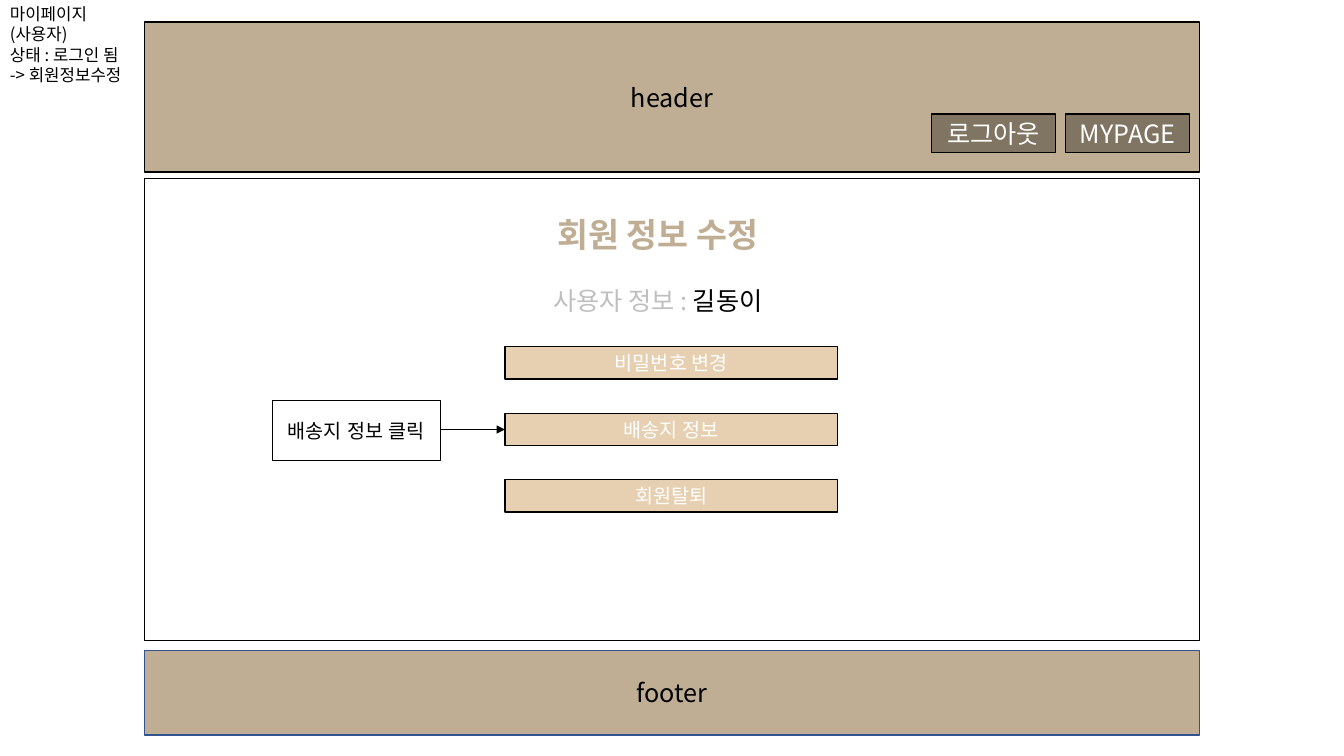
import pptx
import pptx.dml.color
import pptx.enum.shapes
import pptx.enum.text
import pptx.oxml.ns
import pptx.util
from lxml import etree

Pt = pptx.util.Pt
qn = pptx.oxml.ns.qn
ALIGN = pptx.enum.text.PP_ALIGN
ANCHOR = pptx.enum.text.MSO_ANCHOR

BLACK, WHITE = "000000", "FFFFFF"
TAN, LIGHT_TAN, BROWN = "BFAE93", "E6D0B1", "807462"
GREY, BLUE = "BFBFBF", "31538F"


def colour(hex_code):
    return pptx.dml.color.RGBColor.from_string(hex_code)


class Wireframe:
    def __init__(self, slide, font="Noto Sans CJK KR"):
        self.slide = slide
        self.font = font

    def fill_text(self, shape, paragraphs, size, align, anchor, bold=False, font=None):
        """Put text in a shape; each paragraph is a list of (text, colour) runs."""
        frame = shape.text_frame
        frame.word_wrap = True
        frame.auto_size = pptx.enum.text.MSO_AUTO_SIZE.NONE
        frame.vertical_anchor = anchor
        for index, runs in enumerate(paragraphs):
            paragraph = frame.add_paragraph() if index else frame.paragraphs[0]
            paragraph.alignment = align
            for text, hex_code in runs:
                run = paragraph.add_run()
                run.text = text
                run.font.size = Pt(size)
                run.font.bold = bold
                run.font.color.rgb = colour(hex_code)
                run.font.name = font or self.font
        for latin in list(shape.element.iter(qn("a:latin"))):
            east_asian = etree.Element(qn("a:ea"), typeface=font or self.font)
            latin.addnext(east_asian)

    def box(self, left, top, width, height, fill, text=None, size=18,
            text_colour=BLACK, line=BLACK, line_width=1, font=None, group=None):
        parent = self.slide if group is None else group
        shape = parent.shapes.add_shape(
            pptx.enum.shapes.MSO_SHAPE.RECTANGLE,
            Pt(left), Pt(top), Pt(width), Pt(height))
        shape.shadow.inherit = False
        shape.fill.solid()
        shape.fill.fore_color.rgb = colour(fill)
        shape.line.color.rgb = colour(line)
        shape.line.width = Pt(line_width)
        if text:
            self.fill_text(shape, [[(text, text_colour)]], size,
                           ALIGN.CENTER, ANCHOR.MIDDLE, font=font)

    def label(self, left, top, width, height, paragraphs, size):
        shape = self.slide.shapes.add_textbox(Pt(left), Pt(top), Pt(width), Pt(height))
        self.fill_text(shape, paragraphs, size, ALIGN.LEFT, ANCHOR.TOP)

    def title(self, left, top, width, height, text, size):
        """Place the title placeholder in front of the shapes drawn so far."""
        shape = self.slide.shapes.title
        shape.left, shape.top = Pt(left), Pt(top)
        shape.width, shape.height = Pt(width), Pt(height)
        self.fill_text(shape, [[(text, TAN)]], size, ALIGN.LEFT, ANCHOR.TOP, bold=True)
        shape.element.getparent().append(shape.element)

    def arrow(self, start_x, end_x, y):
        connector = self.slide.shapes.add_connector(
            pptx.enum.shapes.MSO_CONNECTOR.STRAIGHT,
            Pt(start_x), Pt(y), Pt(end_x), Pt(y))
        connector.line.color.rgb = colour(BLACK)
        connector.line.width = Pt(0.75)
        properties = connector.element.spPr
        etree.SubElement(properties.find(qn("a:ln")), qn("a:tailEnd"), type="triangle")
        etree.SubElement(properties, qn("a:effectLst"))


def main():
    presentation = pptx.Presentation()
    presentation.slide_width, presentation.slide_height = Pt(960), Pt(540)
    slide = presentation.slides.add_slide(
        presentation.slide_layouts.get_by_name("Title Only"))
    page = Wireframe(slide)

    page_left, page_width = 103, 754
    page.box(page_left, 464.5, page_width, 60.5, TAN, "footer", line=BLUE)
    notes = ["마이페이지", "(사용자)", "상태 : 로그인 됨", "-> 회원정보수정"]
    page.label(0, -0.7, 105, 65.5, [[(note, BLACK)] for note in notes], 12)

    page.box(page_left, 127.5, page_width, 330, WHITE)
    page.title(391, 149, 178.5, 36, "회원 정보 수정", 24)
    page.label(388, 200, 183.5, 29,
               [[("사용자 정보 : ", GREY), ("길동이", BLACK)]], 18)

    button_left = 360.7
    for row, text in enumerate(["비밀번호 변경", "배송지 정보", "회원탈퇴"]):
        page.box(button_left, 247.7 + 47.5 * row, 237.6, 23, LIGHT_TAN, text, 14, WHITE)

    callout_left, callout_width = 194.4, 120.2
    page.box(callout_left, 285.8, callout_width, 43.2, WHITE, "배송지 정보 클릭", 14,
             line_width=0.75, font="Arial")
    page.arrow(callout_left + callout_width, button_left, 306.8)

    header = slide.shapes.add_group_shape()
    page.box(page_left, 15.8, page_width, 107.2, TAN, "header", group=header)
    for column, text in enumerate(["로그아웃", "MYPAGE"]):
        page.box(665.3 + 95.8 * column, 81.4, 88.6, 27.4, BROWN, text,
                 text_colour=WHITE, group=header)

    presentation.save("out.pptx")


if __name__ == "__main__":
    main()
